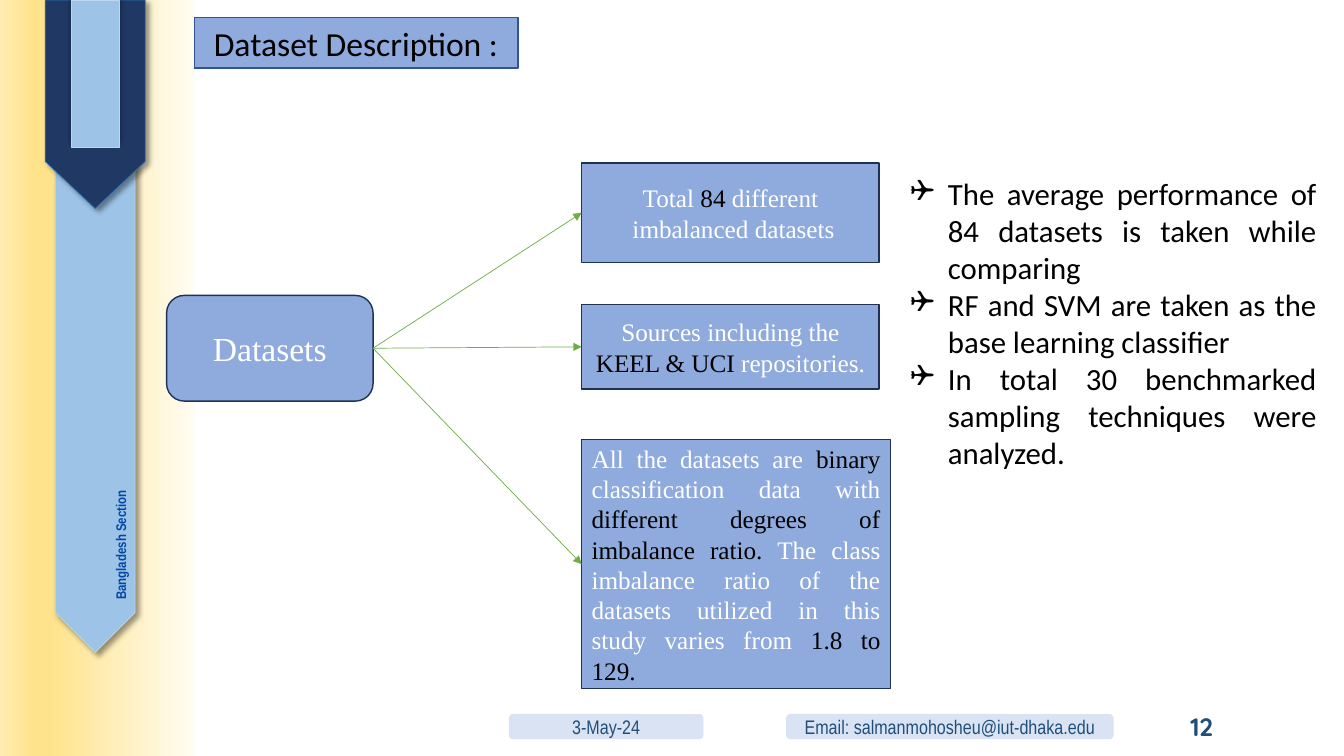
from pptx import Presentation
from pptx.dml.color import RGBColor
from pptx.enum.shapes import MSO_CONNECTOR, MSO_SHAPE
from pptx.enum.text import MSO_ANCHOR, MSO_AUTO_SIZE, PP_ALIGN
from pptx.oxml import parse_xml
from pptx.oxml.ns import nsdecls
from pptx.util import Pt

SERIF, SANS, NARROW = "Times New Roman", "Calibri", "Arial Narrow"
WHITE, BLACK, BLUE, NAVY, SKY = "FFFFFF", "000000", "8FAADC", "1E3256", "9DC3E6"
STEEL, PALE = "1F4E79", "DAE3F3"


def colour(value):
    return RGBColor.from_string(value)


def drawing(markup):
    """Make a drawing element from markup with a {ns} slot in its first tag."""
    return parse_xml(markup.replace("{ns}", nsdecls("a"), 1))


def paint(shape, fill, line=None, weight=1):
    shape.fill.solid()
    shape.fill.fore_color.rgb = colour(fill)
    if line:
        shape.line.color.rgb = colour(line)
        shape.line.width = Pt(weight)
    else:
        shape.line.fill.background()


def add_box(page, kind, box, fill, line=None, weight=1):
    shape = page.shapes.add_shape(kind, *map(Pt, box))
    shape.shadow.inherit = False
    paint(shape, fill, line, weight)
    return shape


def add_text(page, box):
    shape = page.shapes.add_textbox(*map(Pt, box))
    shape.text_frame.word_wrap = True
    return shape


def write(shape, paras, font, size, align=PP_ALIGN.CENTER,
          anchor=MSO_ANCHOR.MIDDLE, bold=False):
    """Each paragraph is a list of (text, colour) spans."""
    frame = shape.text_frame
    frame.vertical_anchor = anchor
    for index, spans in enumerate(paras):
        para = frame.paragraphs[0] if index == 0 else frame.add_paragraph()
        para.alignment = align
        for text, tint in spans:
            span = para.add_run()
            span.text = text
            span.font.name = font
            span.font.size = Pt(size)
            span.font.bold = bold
            span.font.color.rgb = colour(tint)


def add_ribbon(page, center, length, width, point, fill, line, direction):
    """A pentagon hanging down from the top edge of the slide."""
    box = (center - length / 2, (length - width) / 2, length, width)
    ribbon = add_box(page, MSO_SHAPE.PENTAGON, box, fill, line, 0.5)
    ribbon.rotation = 90
    ribbon.adjustments[0] = point
    effects = ribbon._element.spPr.find(
        "{http://schemas.openxmlformats.org/drawingml/2006/main}effectLst")
    effects.append(drawing(
        f'<a:outerShdw {{ns}} blurRad="{Pt(4)}" dist="{Pt(3)}" dir="{direction * 60000}" '
        'algn="tl" rotWithShape="0"><a:srgbClr val="000000">'
        '<a:alpha val="40000"/></a:srgbClr></a:outerShdw>'))


def add_sidebar(page, box):
    left, top, width, height = box
    # Golden band, shading from right to left
    band = add_box(page, MSO_SHAPE.RECTANGLE, box, "FFFCF2")
    stops = [(0, "FFFCF2"), (74, "FFE38C"), (83, "FFE38C"), (100, "FFECB2")]
    marks = "".join(f'<a:gs pos="{place * 1000}"><a:srgbClr val="{tint}"/></a:gs>'
                    for place, tint in stops)
    properties = band._element.spPr
    solid = properties.find(
        "{http://schemas.openxmlformats.org/drawingml/2006/main}solidFill")
    properties.replace(solid, drawing(
        f'<a:gradFill {{ns}} rotWithShape="1"><a:gsLst>{marks}</a:gsLst>'
        '<a:lin ang="10800000" scaled="0"/></a:gradFill>'))
    # Nested ribbons
    center = left + 68
    add_ribbon(page, center, 466, 57, 0.5, SKY, "BDD7EE", 45)
    add_ribbon(page, center, 149, 71.5, 0.47, "203864", "2E75B6", 45)
    add_ribbon(page, center, 105, 34.5, 0, SKY, "BDD7EE", 270)
    # Upright section label
    label = add_text(page, (left + 23, top + 362, 127, 20))
    label.rotation = 270
    write(label, [[("Bangladesh Section", "0047A8")]], NARROW, 10,
          PP_ALIGN.LEFT, MSO_ANCHOR.TOP, bold=True)


def add_title(page, box):
    title = page.shapes.title
    title.left, title.top, title.width, title.height = map(Pt, box)
    paint(title, BLUE, "325491")
    title.text_frame.auto_size = MSO_AUTO_SIZE.NONE
    write(title, [[("Dataset Description :", BLACK)]], SANS, 24)


def add_diagram(page, box):
    left, top, width, height = box
    # Root of the tree
    root = add_box(page, MSO_SHAPE.ROUNDED_RECTANGLE,
                   (left, top + 94.5, 147.5, 75.5), BLUE, NAVY)
    write(root, [[("Datasets", WHITE)]], SERIF, 24)
    # Facts: offset from top, width, height, alignment, paragraphs
    facts = [
        (0, 212.5, 71, PP_ALIGN.CENTER, [
            [("Total ", WHITE), ("84 ", BLACK), ("different", WHITE)],
            [(" imbalanced datasets", WHITE)]]),
        (101, 212.5, 60.5, PP_ALIGN.CENTER, [
            [("Sources including the ", WHITE), ("KEEL & UCI ", BLACK),
             ("repositories.", WHITE)]]),
        (197.5, 220.5, 178, PP_ALIGN.JUSTIFY, [
            [("All the datasets are ", WHITE), ("binary", BLACK),
             (" classification data with ", WHITE),
             ("different degrees of imbalance ratio.", BLACK),
             (" The class imbalance ratio of the datasets utilized in this "
              "study varies from ", WHITE),
             ("1.8 to 129.", BLACK)]]),
    ]
    for offset, fact_width, fact_height, align, paras in facts:
        fact = add_box(page, MSO_SHAPE.RECTANGLE,
                       (left + 296.5, top + offset, fact_width, fact_height), BLUE, NAVY)
        write(fact, paras, SERIF, 18, align)
        add_arrow(page, root, fact)


def add_arrow(page, source, target):
    """Join the right side of source to the left side of target."""
    arrow = page.shapes.add_connector(MSO_CONNECTOR.STRAIGHT, 0, 0, 0, 0)
    arrow.begin_connect(source, 3)
    arrow.end_connect(target, 1)
    arrow.line.color.rgb = colour("70AD47")
    arrow.line.width = Pt(0.5)
    arrow.line._get_or_add_ln().append(drawing('<a:tailEnd {ns} type="triangle"/>'))
    arrow._element.spPr.append(drawing("<a:effectLst {ns}/>"))


def add_findings(page, box):
    findings = [
        "The average performance of 84 datasets is taken while comparing",
        "RF and SVM are taken as the base learning classifier",
        "In total 30 benchmarked sampling techniques were analyzed.",
    ]
    notes = add_text(page, box)
    write(notes, [[(text, BLACK)] for text in findings], SANS, 22,
          PP_ALIGN.JUSTIFY, MSO_ANCHOR.TOP)
    for para in notes.text_frame.paragraphs:
        properties = para._p.get_or_add_pPr()
        properties.set("marL", str(Pt(27)))
        properties.set("indent", str(-Pt(27)))
        properties.append(drawing('<a:buFont {ns} typeface="Wingdings"/>'))
        properties.append(drawing('<a:buChar {ns} char="❑"/>'))


def add_footer(page, box):
    left, top, width, height = box
    labels = [(0, 139, "3-May-24"),
              (198, 234, "Email: salmanmohosheu@iut-dhaka.edu")]
    for offset, label_width, text in labels:
        label = add_box(page, MSO_SHAPE.ROUNDED_RECTANGLE,
                        (left + offset, top, label_width, height), PALE)
        label.text_frame.word_wrap = True
        write(label, [[(text, STEEL)]], NARROW, 14)
    number = add_text(page, (left + width - 216, top, 216, height))
    write(number, [[("12", STEEL)]], "Quicksand", 18, PP_ALIGN.RIGHT, bold=True)


def build_dataset_page(deck):
    page = deck.slides.add_slide(deck.slide_layouts[5])
    add_sidebar(page, (0, 0, 138.5, 540))
    add_title(page, (138.5, 12.5, 231.5, 36))
    add_diagram(page, (119, 116.5, 517, 375.5))
    add_findings(page, (643, 121.5, 304.5, 274))
    add_footer(page, (363.5, 510, 510, 18))


def main():
    deck = Presentation()
    deck.slide_width, deck.slide_height = Pt(960), Pt(540)
    build_dataset_page(deck)
    deck.save("out.pptx")


if __name__ == "__main__":
    main()
